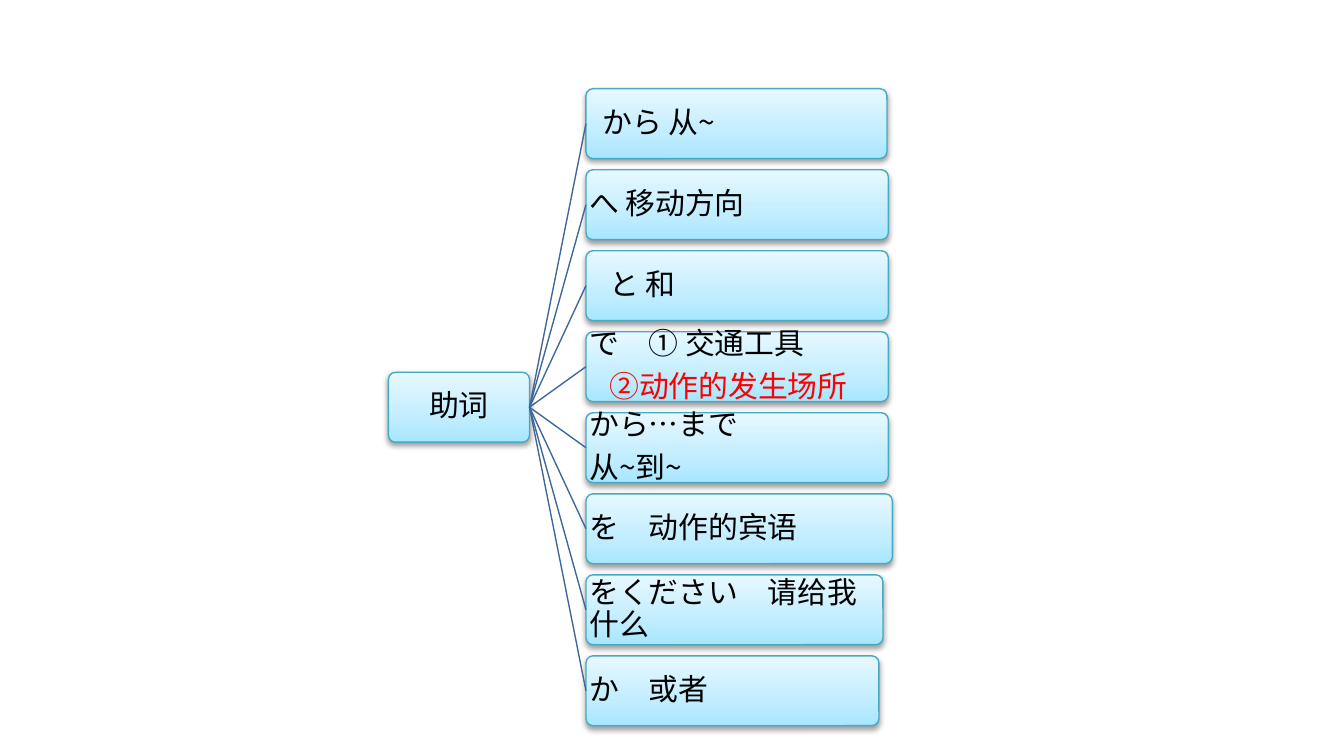
from copy import deepcopy

from lxml.etree import SubElement
from pptx import Presentation
from pptx.dml.color import RGBColor
from pptx.enum.shapes import MSO_CONNECTOR, MSO_SHAPE
from pptx.enum.text import MSO_ANCHOR, PP_ALIGN
from pptx.oxml.ns import qn
from pptx.util import Inches, Pt

FONT = "Noto Sans CJK SC"
BLACK, RED = "000000", "FF0000"
BOX_LINE, BRANCH_LINE = "46AAC5", "3F6797"
GRADIENT = [(0, "A7E6FF"), (0.35, "C1EDFF"), (1, "E7F8FF")]
SLIDE_WIDTH = 10
BOX_HEIGHT = 0.52
BRANCH_LEFT, FIRST_TOP, LAST_TOP = 4.36, 0.66, 4.88
ROOT = [("助词", 0, BLACK)]
PARTICLES = [
    (2.24, [("から 从~", 0.1, BLACK)]),
    (2.25, [("へ 移动方向", 0, BLACK)]),
    (2.25, [("と 和", 0.15, BLACK)]),
    (2.25, [("で　① 交通工具", 0, BLACK), ("②动作的发生场所", 0.15, RED)]),
    (2.25, [("から…まで", 0, BLACK), ("从~到~", 0, BLACK)]),
    (2.28, [("を　动作的宾语", 0, BLACK)]),
    (2.21, [("をください　请给我什么", 0, BLACK)]),
    (2.18, [("か　或者", 0, BLACK)]),
]


def color(value):
    """Turn a hex string into a colour."""
    return RGBColor.from_string(value)


def fill_gradient(box):
    """Fill a box with the upward three-stop gradient."""
    box.fill.gradient()
    box.fill.gradient_angle = 90
    stop_list = box._element.spPr.find(qn("a:gradFill")).find(qn("a:gsLst"))
    stop_list.append(deepcopy(stop_list[0]))
    for stop, (position, shade) in zip(box.fill.gradient_stops, GRADIENT):
        stop.position = position
        stop.color.rgb = color(shade)


def add_shadow(box):
    """Give a box a soft shadow straight below it."""
    box.shadow.inherit = False
    effects = box._element.spPr.find(qn("a:effectLst"))
    shadow = SubElement(effects, qn("a:outerShdw"), blurRad=str(Pt(3.1)),
                        dist=str(Pt(1.6)), dir="5400000", rotWithShape="0")
    shade = SubElement(shadow, qn("a:srgbClr"), val=BLACK)
    SubElement(shade, qn("a:alpha"), val="38000")


def write_lines(box, lines, align):
    """Write one paragraph per (text, indent, colour) line."""
    frame = box.text_frame
    frame.word_wrap = True
    frame.vertical_anchor = MSO_ANCHOR.MIDDLE
    frame.margin_left = frame.margin_right = Inches(0.01)
    frame.margin_top = frame.margin_bottom = Inches(0.01)
    frame.text = "\n".join(text for text, _, _ in lines)
    for paragraph, (_, indent, shade) in zip(frame.paragraphs, lines):
        paragraph.alignment = align
        paragraph.line_spacing = 0.9
        paragraph.space_after = Pt(5.6)
        paragraph._p.get_or_add_pPr().set("marL", str(Inches(indent)))
        for run in paragraph.runs:
            run.font.size = Pt(16)
            run.font.name = FONT
            run.font.color.rgb = color(shade)
            SubElement(run._r.get_or_add_rPr(), qn("a:ea"), typeface=FONT)


def add_box(slide, left, top, width, lines, align=PP_ALIGN.LEFT):
    """Add a rounded gradient box with its text."""
    box = slide.shapes.add_shape(
        MSO_SHAPE.ROUNDED_RECTANGLE, Inches(left), Inches(top),
        Inches(width), Inches(BOX_HEIGHT))
    box.adjustments[0] = 0.1
    fill_gradient(box)
    box.line.color.rgb = color(BOX_LINE)
    box.line.width = Pt(0.75)
    add_shadow(box)
    write_lines(box, lines, align)
    return box


def add_branch(slide, root, particle):
    """Join the root's right side to a particle's left side."""
    branch = slide.shapes.add_connector(MSO_CONNECTOR.STRAIGHT, 0, 0, 0, 0)
    branch.begin_connect(root, 3)
    branch.end_connect(particle, 1)
    branch.line.color.rgb = color(BRANCH_LINE)
    branch.line.width = Pt(0.75)
    SubElement(branch._element.spPr, qn("a:effectLst"))


def main():
    """Build the particle tree slide."""
    deck = Presentation()
    deck.slide_width = Inches(SLIDE_WIDTH)
    deck.slide_height = Inches(SLIDE_WIDTH * 9 / 16)
    slide = deck.slides.add_slide(deck.slide_layouts[6])
    root = add_box(slide, 2.89, 2.77, 1.05, ROOT, PP_ALIGN.CENTER)
    pitch = (LAST_TOP - FIRST_TOP) / (len(PARTICLES) - 1)
    for row, (width, lines) in enumerate(PARTICLES):
        particle = add_box(slide, BRANCH_LEFT, FIRST_TOP + row * pitch, width, lines)
        add_branch(slide, root, particle)
    deck.save("out.pptx")


if __name__ == "__main__":
    main()
